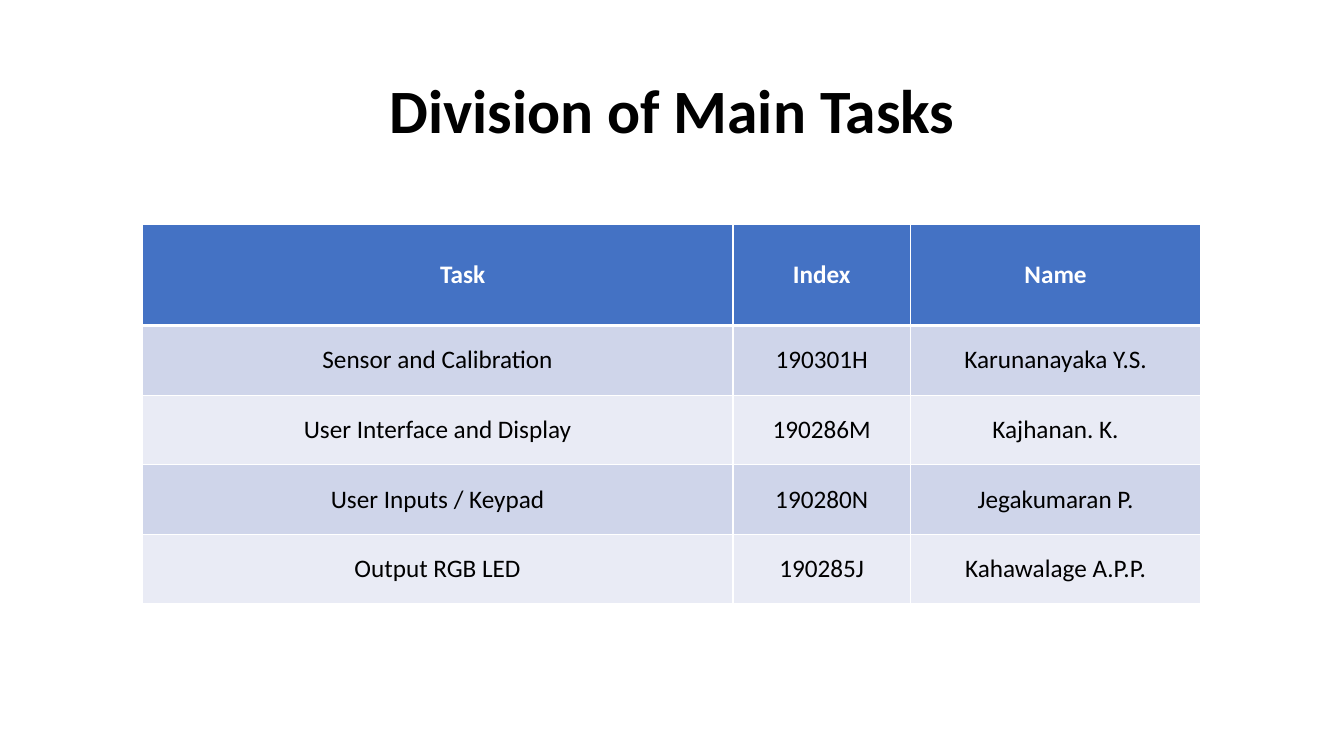
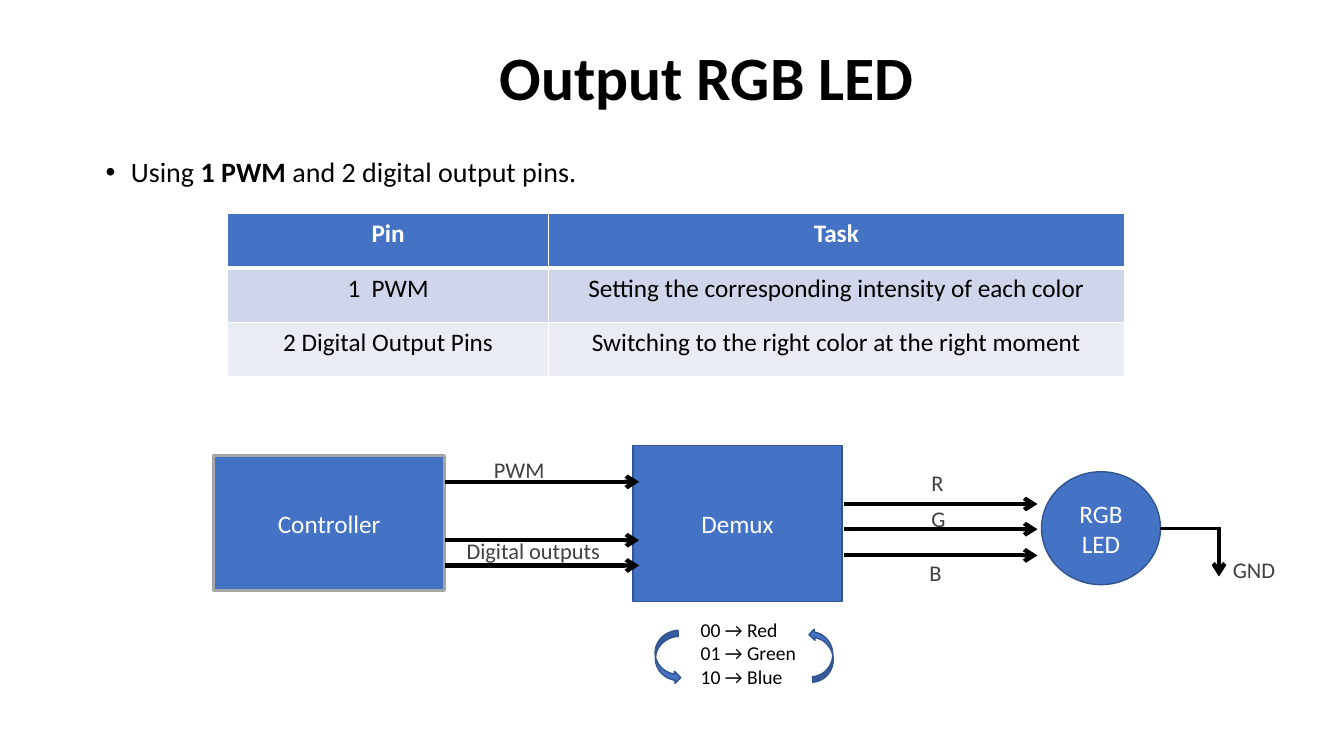
from dataclasses import dataclass

from lxml.etree import SubElement
from pptx import Presentation
from pptx.dml.color import RGBColor
from pptx.enum.shapes import MSO_CONNECTOR, MSO_SHAPE as SHAPE
from pptx.enum.text import MSO_ANCHOR as ANCHOR, PP_ALIGN as ALIGN
from pptx.oxml.ns import qn
from pptx.util import Inches, Pt


@dataclass(frozen=True)
class Theme:
    font: str = "Calibri"
    black: str = "000000"
    white: str = "FFFFFF"
    blue: str = "4472C4"
    outline: str = "325491"
    gray: str = "A6A6A6"
    label: str = "404040"
    bands: tuple = ("CFD5EA", "E9EBF5")
    title_size: int = 44
    bullet_size: int = 20
    main_size: int = 18
    label_size: int = 16
    code_size: int = 14


theme = Theme()
color = RGBColor.from_string


# Writes paragraphs into a frame; each paragraph is a list of (text, bold) runs
def write(frame, paragraphs, size, ink, align=ALIGN.LEFT, spacing=None):
    for number, runs in enumerate(paragraphs):
        paragraph = frame.add_paragraph() if number else frame.paragraphs[0]
        paragraph.alignment = align
        paragraph.line_spacing = spacing
        for text, bold in runs:
            run = paragraph.add_run()
            run.text = text
            run.font.name = theme.font
            run.font.size = Pt(size)
            run.font.bold = bold
            run.font.color.rgb = color(ink)


# Blue header over banded rows, all with white rules
def add_grid(slide, left, top, widths, heights, rows, anchor):
    grid = slide.shapes.add_table(
        len(rows), len(widths), Inches(left), Inches(top),
        Inches(sum(widths)), Inches(sum(heights))).table
    for column, width in zip(grid.columns, widths):
        column.width = Inches(width)
    for r, texts in enumerate(rows):
        grid.rows[r].height = Inches(heights[r])
        for c, text in enumerate(texts):
            cell = grid.cell(r, c)
            cell.vertical_anchor = anchor
            write(cell.text_frame, [[(text, r == 0)]], theme.main_size,
                  theme.black if r else theme.white, ALIGN.CENTER)
            rules = {"a:lnL": 1, "a:lnR": 1, "a:lnT": 3 if r == 1 else 1,
                     "a:lnB": 1 if r else 3}
            for side, points in rules.items():
                rule = SubElement(cell._tc.get_or_add_tcPr(), qn(side), w=str(Pt(points)))
                fill = SubElement(rule, qn("a:solidFill"))
                SubElement(fill, qn("a:srgbClr"), val=theme.white)
            cell.fill.solid()
            cell.fill.fore_color.rgb = color(theme.bands[(r - 1) % 2] if r else theme.blue)
    return grid


deck = Presentation()
deck.slide_width, deck.slide_height = Inches(13.33), Inches(7.5)

# Slides and their titles
slides = []
for heading, left, top in [("Division of Main Tasks", 0.92, 0.4),
                           ("Output RGB LED", 1.26, 0.07)]:
    slide = deck.slides.add_slide(deck.slide_layouts[6])
    title = slide.shapes.add_textbox(Inches(left), Inches(top), Inches(11.5), Inches(1.45))
    title.text_frame.word_wrap = True
    title.text_frame.vertical_anchor = ANCHOR.MIDDLE
    write(title.text_frame, [[(heading, True)]], theme.title_size, theme.black,
          ALIGN.CENTER, 0.9)
    slides.append(slide)
division, output = slides

# Slide 1: who does what
tasks = add_grid(division, 1.41, 2.23, [5.86, 1.76, 2.88], [1] + [0.69] * 4, [
    ("Task", "Index", "Name"),
    ("Sensor and Calibration", "190301H", "Karunanayaka Y.S."),
    ("User Interface and Display", "190286M", "Kajhanan. K."),
    ("User Inputs / Keypad", "190280N", "Jegakumaran P."),
    ("Output RGB LED", "190285J", "Kahawalage A.P.P."),
], ANCHOR.MIDDLE)
tasks.cell(0, 0).margin_left = Inches(0.6)

# Slide 2: bullet
usage = output.shapes.add_textbox(Inches(0.95), Inches(1.52), Inches(11.5), Inches(0.5))
usage.text_frame.word_wrap = True
write(usage.text_frame,
      [[("Using ", False), ("1 PWM ", True), ("and 2 digital output pins.", False)]],
      theme.bullet_size, theme.black, spacing=0.9)
sentence = usage.text_frame.paragraphs[0]
sentence.space_before = Pt(10)
indent = sentence._p.get_or_add_pPr()
indent.set("marL", str(Inches(0.25)))
indent.set("indent", str(Inches(-0.25)))
SubElement(indent, qn("a:buFont"), typeface="Arial")
SubElement(indent, qn("a:buChar"), char="•")

# Pins
add_grid(output, 2.26, 2.12, [3.18, 5.71], [0.54] * 3, [
    ("Pin", "Task"),
    ("1  PWM", "Setting the corresponding intensity of each color"),
    ("2 Digital Output Pins", "Switching to the right color at the right moment"),
], ANCHOR.TOP)

# Circuit blocks and the arrows that circle the codes
for kind, left, top, width, height, turn, edge, points, lines in [
    (SHAPE.RECTANGLE, 2.12, 4.52, 2.29, 1.34, 0, theme.gray, 2.25, ["Controller"]),
    (SHAPE.RECTANGLE, 6.28, 4.42, 2.07, 1.55, 0, theme.outline, 1, ["Demux"]),
    (SHAPE.OVAL, 10.33, 4.68, 1.18, 1.12, 0, theme.outline, 1, ["RGB", "LED"]),
    (SHAPE.CURVED_RIGHT_ARROW, 8.04, 6.23, 0.22, 0.53, 175.3, theme.outline, 1, []),
    (SHAPE.CURVED_RIGHT_ARROW, 6.5, 6.26, 0.24, 0.53, 356.6, theme.outline, 1, []),
]:
    block = output.shapes.add_shape(kind, Inches(left), Inches(top),
                                    Inches(width), Inches(height))
    block.shadow.inherit = False
    block.rotation = turn
    block.fill.solid()
    block.fill.fore_color.rgb = color(theme.blue)
    block.line.color.rgb = color(edge)
    block.line.width = Pt(points)
    block.text_frame.vertical_anchor = ANCHOR.MIDDLE
    write(block.text_frame, [[(line, False)] for line in lines],
          theme.main_size, theme.white, ALIGN.CENTER)

# Wires: controller to demux, demux to LED, LED to ground
wires = [(4.41, y, 6.34, y, 3, True) for y in (4.78, 5.36, 5.61)]
wires += [(8.37, y, 10.29, y, 3, True) for y in (5, 5.25, 5.51)]
wires += [(11.51, 5.24, 12.1, 5.24, 2.25, False), (12.09, 5.23, 12.09, 5.72, 3, True)]
for x1, y1, x2, y2, points, pointed in wires:
    wire = output.shapes.add_connector(MSO_CONNECTOR.STRAIGHT, Inches(x1), Inches(y1),
                                       Inches(x2), Inches(y2))
    wire.line.color.rgb = color(theme.black)
    wire.line.width = Pt(points)
    outline = wire._element.spPr
    if pointed:
        SubElement(outline.find(qn("a:ln")), qn("a:tailEnd"), type="arrow")
    SubElement(outline, qn("a:effectLst"))

# Wire labels
for text, left, top, width in [
    ("PWM", 4.8, 4.48, 0.71),
    ("Digital outputs", 4.53, 5.28, 1.54),
    ("R", 9.14, 4.61, 0.32),
    ("G", 9.14, 4.96, 0.34),
    ("B", 9.12, 5.5, 0.32),
    ("GND", 12.13, 5.47, 0.63),
]:
    label = output.shapes.add_textbox(Inches(left), Inches(top), Inches(width), Inches(0.37))
    label.text_frame.word_wrap = False
    write(label.text_frame, [[(text, False)]], theme.label_size, theme.label)

# Demux codes
codes = output.shapes.add_textbox(Inches(6.85), Inches(6.08), Inches(1.21), Inches(0.81))
codes.text_frame.word_wrap = True
write(codes.text_frame,
      [[(code, False)] for code in ("00 → Red", "01 → Green", "10 → Blue")],
      theme.code_size, theme.black)

deck.save("out.pptx")
